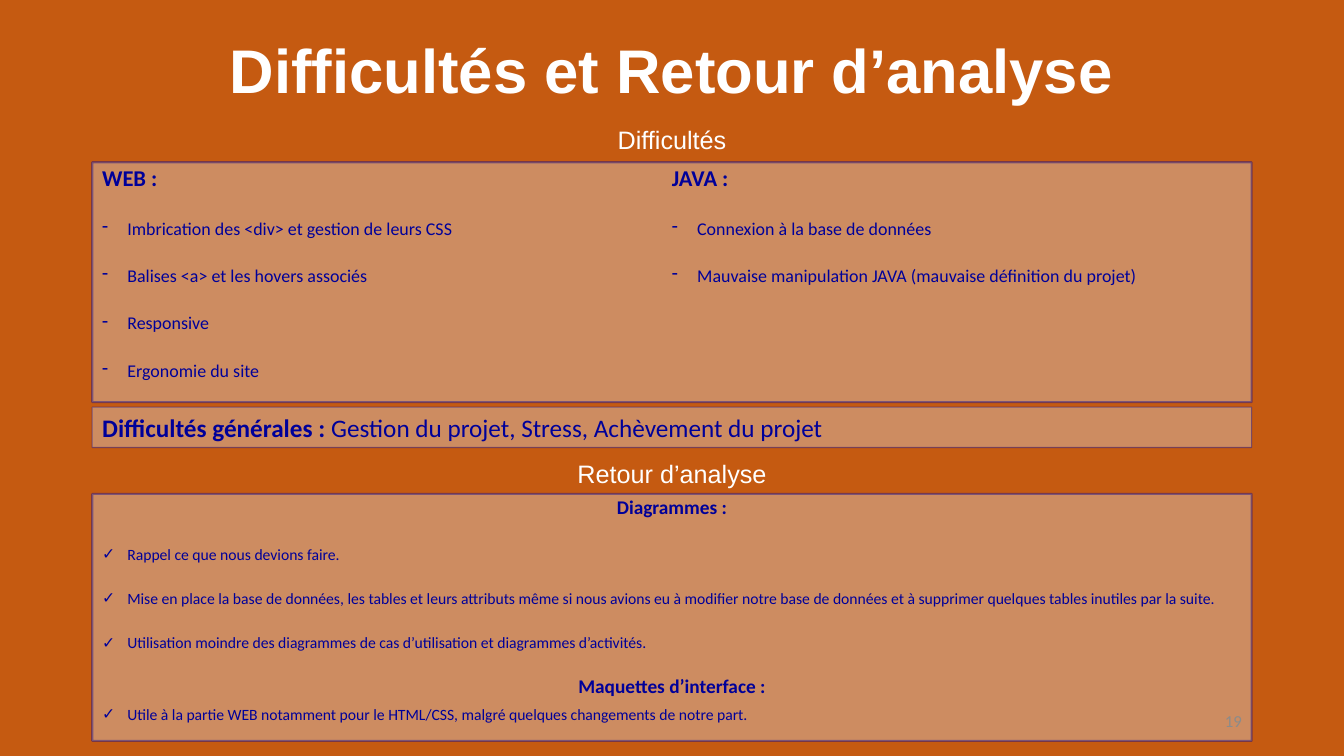
"""Build the slide on difficulties and analysis feedback."""
import pptx
import pptx.util
import pptx.dml.color
import pptx.enum.shapes
import pptx.enum.text
from lxml import etree
from pptx.oxml.ns import qn

Inches, Pt = pptx.util.Inches, pptx.util.Pt
ALIGN, ANCHOR = pptx.enum.text.PP_ALIGN, pptx.enum.text.MSO_ANCHOR

COLORS = {"background": "C55A11", "panel": "D9D9D9", "ink": "000099",
          "white": "FFFFFF", "number": "8B8B8B"}

TITLE = "Difficultés et Retour d’analyse"
SECTIONS = [("Difficultés", 1.18), ("Retour d’analyse", 4.5)]
DIFFICULTIES = [
    ("WEB :", ["Imbrication des <div> et gestion de leurs CSS",
               "Balises <a> et les hovers associés",
               "Responsive",
               "Ergonomie du site"]),
    ("JAVA :", ["Connexion à la base de données",
                "Mauvaise manipulation JAVA (mauvaise définition du projet)"]),
]
GENERAL = ("Difficultés générales : ", "Gestion du projet, Stress, Achèvement du projet")
FEEDBACK = [
    ("Diagrammes :", [
        "Rappel ce que nous devions faire.",
        "Mise en place la base de données, les tables et leurs attributs même si nous "
        "avions eu à modifier notre base de données et à supprimer quelques tables "
        "inutiles par la suite.",
        "Utilisation moindre des diagrammes de cas d’utilisation et diagrammes d’activités."]),
    ("Maquettes d’interface :", [
        "Utile à la partie WEB notamment pour le HTML/CSS, malgré quelques changements "
        "de notre part."]),
]
PAGE_NUMBER = "19"

WIDTH, HEIGHT = 13.33, 7.5
PANEL_WIDTH, ROW_HEIGHT = 11.5, 0.4
LEFT = (WIDTH - PANEL_WIDTH) / 2
LABEL_WIDTH = 2.71
GAP = 10


def color(name):
    return pptx.dml.color.RGBColor.from_string(COLORS[name])


def style(font, size, name, family="Calibri", bold=False):
    font.size, font.name, font.bold = Pt(size), family, bold
    font.color.rgb = color(name)


def add_label(slide, text, left, top, width, height, size, name, align, family, bold=False):
    frame = slide.shapes.add_textbox(*map(Inches, (left, top, width, height))).text_frame
    frame.word_wrap = True
    frame.vertical_anchor = ANCHOR.MIDDLE
    paragraph = frame.paragraphs[0]
    paragraph.text, paragraph.alignment = text, align
    style(paragraph.font, size, name, family, bold)
    return paragraph


def add_panel(slide, top, height, line_width):
    panel = slide.shapes.add_shape(pptx.enum.shapes.MSO_SHAPE.RECTANGLE,
                                   *map(Inches, (LEFT, top, PANEL_WIDTH, height)))
    panel.shadow.inherit = False
    panel.fill.solid()
    panel.fill.fore_color.rgb = color("panel")
    panel.line.color.rgb = color("ink")
    panel.line.width = Pt(line_width)
    for value in panel.fill._xPr.iter(qn("a:srgbClr")):
        etree.SubElement(value, qn("a:alpha"), val="40000")
    panel.text_frame.word_wrap = True
    panel.text_frame.vertical_anchor = ANCHOR.TOP
    return panel.text_frame


def add_bullet(paragraph, character):
    properties = paragraph._p.get_or_add_pPr()
    indent = Inches(0.25)
    properties.set("marL", str(indent))
    properties.set("indent", str(-indent))
    if character == "✓":
        etree.SubElement(properties, qn("a:buFont"), typeface="Arial")
    etree.SubElement(properties, qn("a:buChar"), char=character)


def add_groups(frame, groups, character, sizes, spacings, align, last_gap):
    heading_size, item_size = sizes
    first = True
    for (heading, items), spacing in zip(groups, spacings):
        is_last = heading == groups[-1][0]
        for position, text in enumerate([heading, *items]):
            paragraph = frame.paragraphs[0] if first else frame.add_paragraph()
            is_heading = position == 0
            paragraph.text = text
            paragraph.alignment = align if is_heading else ALIGN.LEFT
            paragraph.line_spacing = spacing
            paragraph.space_before = Pt(0 if first else GAP)
            paragraph.space_after = Pt(last_gap if is_last else GAP)
            if not is_heading:
                add_bullet(paragraph, character)
            style(paragraph.font, heading_size if is_heading else item_size, "ink",
                  bold=is_heading)
            first = False


def main():
    presentation = pptx.Presentation()
    presentation.slide_width, presentation.slide_height = Inches(WIDTH), Inches(HEIGHT)
    slide = presentation.slides.add_slide(presentation.slide_layouts[6])
    slide.background.fill.solid()
    slide.background.fill.fore_color.rgb = color("background")

    title = add_label(slide, TITLE, LEFT, 0, PANEL_WIDTH, 1.45, 44, "white",
                      ALIGN.CENTER, "Arial", True)
    title.line_spacing = 0.9

    feedback = add_panel(slide, 4.9, 2.45, 1.5)
    add_groups(feedback, FEEDBACK, "✓", (13.8, 11.2), (0.87, 0.7), ALIGN.CENTER, 0)

    difficulties = add_panel(slide, 1.61, 2.38, 1.5)
    difficulties._txBody.bodyPr.set("numCol", str(len(DIFFICULTIES)))
    add_groups(difficulties, DIFFICULTIES, "-", (16.1, 12.8), (0.9, 0.9), ALIGN.LEFT, GAP)

    for text, top in SECTIONS:
        add_label(slide, text, (WIDTH - LABEL_WIDTH) / 2, top, LABEL_WIDTH, ROW_HEIGHT,
                  18, "white", ALIGN.CENTER, "Arial")

    general = add_panel(slide, 4.04, ROW_HEIGHT, 0.75).paragraphs[0]
    general.alignment = ALIGN.LEFT
    for text, bold in zip(GENERAL, (True, False)):
        run = general.add_run()
        run.text = text
        style(run.font, 18, "ink", bold=bold)

    add_label(slide, PAGE_NUMBER, LEFT + PANEL_WIDTH - 3, 6.95, 3, ROW_HEIGHT,
              12, "number", ALIGN.RIGHT, "Calibri")
    presentation.save("out.pptx")


if __name__ == "__main__":
    main()
